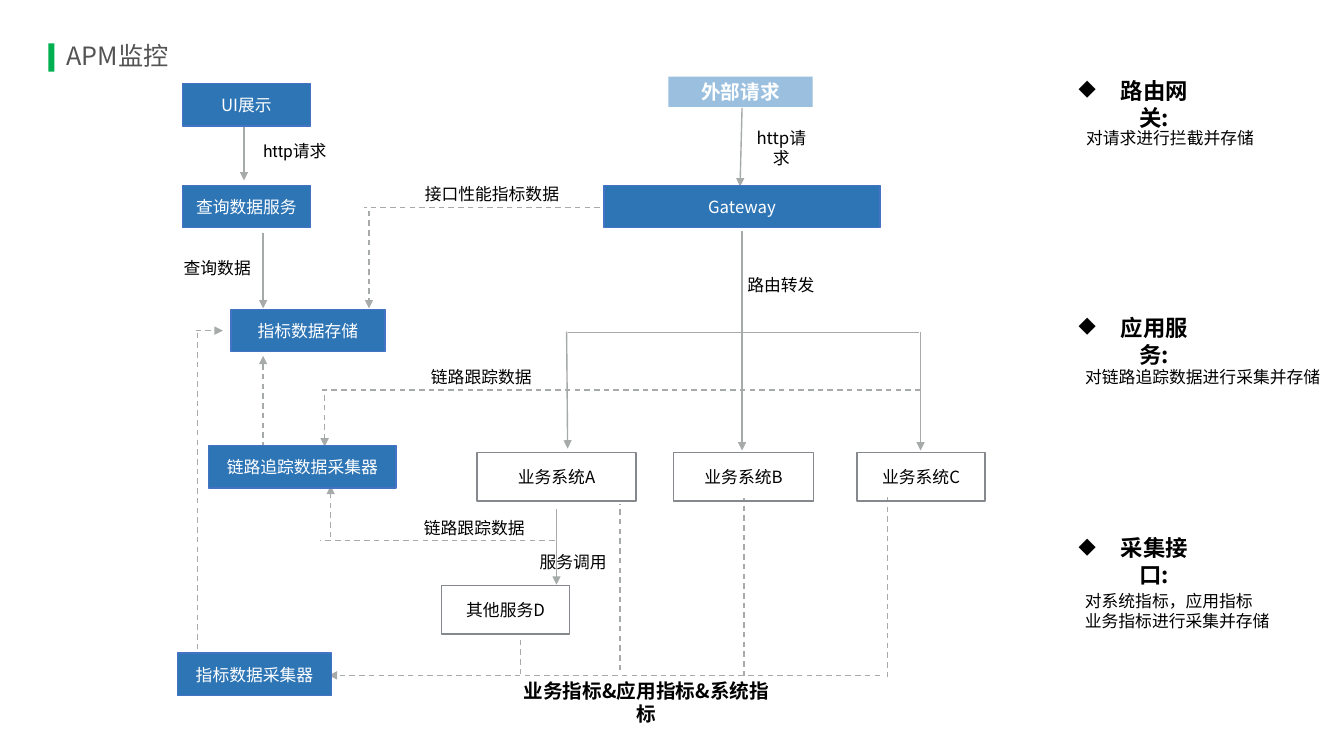
from dataclasses import dataclass
from lxml.etree import SubElement as Sub
from pptx import Presentation
from pptx.dml.color import RGBColor as Rgb
from pptx.enum.dml import MSO_LINE as Dash
from pptx.enum.shapes import MSO_CONNECTOR as Link, MSO_SHAPE as Shape
from pptx.enum.text import MSO_ANCHOR as Anchor, MSO_AUTO_SIZE as Fit, PP_ALIGN as Align
from pptx.oxml.ns import qn
from pptx.util import Inches, Pt


@dataclass(frozen=True)
class Theme:
    font: str = "Noto Sans CJK SC"
    green: str = "00B050"
    title: str = "535353"
    blue: str = "2E75B6"
    edge: str = "4472C4"
    pale: str = "9BC0DF"
    frame: str = "85888D"
    line: str = "A6AAA9"
    white: str = "FFFFFF"
    black: str = "000000"
    big: int = 18
    head: int = 16
    mid: int = 14
    base: int = 12


class Board:
    def __init__(self, slide, theme):
        self.slide = slide
        self.theme = theme

    def style(self, frame, text, size, color, bold=False, align=Align.CENTER,
              wrap=True, pad=0.06, latin=None, mark=None):
        frame.text = text
        frame.word_wrap = wrap
        frame.auto_size = Fit.NONE
        frame.vertical_anchor = Anchor.MIDDLE
        frame.margin_left = frame.margin_right = Inches(pad)
        frame.margin_top = frame.margin_bottom = Inches(pad)
        for para in frame.paragraphs:
            para.alignment = align
            if mark:
                props = para._p.get_or_add_pPr()
                props.set("marL", str(Inches(0.42)))
                props.set("indent", str(-Inches(0.42)))
                Sub(props, qn("a:buChar")).set("char", mark)
            for run in para.runs:
                font = run.font
                font.size = Pt(size)
                font.bold = bold
                font.color.rgb = Rgb.from_string(color)
                font.name = latin or self.theme.font
                Sub(run._r.get_or_add_rPr(), qn("a:ea")).set("typeface", self.theme.font)

    def title(self, text):
        look = self.theme
        self.box("", 0.48, 0.43, 0.06, 0.28, look.green)
        head = self.slide.shapes.title
        head.left, head.top = Inches(0.61), Inches(0.22)
        head.width, head.height = Inches(7.48), Inches(0.66)
        self.style(head.text_frame, text, look.big, look.title,
                   align=Align.LEFT, pad=0.05)

    def box(self, text, left, top, width, height, fill=None, edge=None,
            size=None, bold=False):
        look = self.theme
        shape = self.slide.shapes.add_shape(
            Shape.RECTANGLE, Inches(left), Inches(top), Inches(width), Inches(height))
        shape.shadow.inherit = False
        if fill:
            shape.fill.solid()
            shape.fill.fore_color.rgb = Rgb.from_string(fill)
        else:
            shape.fill.background()
        if edge:
            shape.line.color.rgb = Rgb.from_string(edge)
            shape.line.width = Pt(1)
        else:
            shape.line.fill.background()
        if text:
            self.style(shape.text_frame, text, size or look.base,
                       look.white if fill else look.black, bold)

    def label(self, text, left, top, width, height=0.27, size=None, wrap=False, **form):
        look = self.theme
        area = self.slide.shapes.add_textbox(
            Inches(left), Inches(top), Inches(width), Inches(height))
        self.style(area.text_frame, text, size or look.base, look.black,
                   wrap=wrap, **form)

    def line(self, x1, y1, x2, y2, arrow=False, dashed=False):
        link = self.slide.shapes.add_connector(
            Link.STRAIGHT, Inches(x1), Inches(y1), Inches(x2), Inches(y2))
        link.line.color.rgb = Rgb.from_string(self.theme.line)
        link.line.width = Pt(1)
        if dashed:
            link.line.dash_style = Dash.DASH
        if arrow:
            Sub(link._element.spPr.find(qn("a:ln")), qn("a:tailEnd")).set("type", "triangle")
        Sub(link._element.spPr, qn("a:effectLst"))


def main():
    deck = Presentation()
    deck.slide_width, deck.slide_height = Inches(13.33), Inches(7.5)
    look = Theme()
    board = Board(deck.slides.add_slide(deck.slide_layouts[5]), look)
    board.title("APM监控")

    for spot in [
        (7.36, 2.29, 7.36, 4.47, True),
        (5.63, 3.3, 9.12, 3.3),
        (9.13, 3.29, 9.13, 4.47, True),
        (5.62, 3.29, 5.63, 4.45, True),
        (5.52, 5.05, 5.52, 5.8, True),
        (2.42, 1.26, 2.42, 1.79, True),
        (7.36, 1.07, 7.34, 1.85, True),
        (2.61, 2.31, 2.61, 3.06, True),
    ]:
        board.line(*spot)

    for spot in [
        (5.95, 2.06, 3.61, 2.06),
        (3.66, 2.09, 3.66, 3.06, True),
        (9.13, 3.87, 3.18, 3.87),
        (3.22, 3.92, 3.22, 4.43, True),
        (5.5, 5.36, 3.17, 5.36),
        (3.28, 5.33, 3.28, 4.82, True),
        (8.73, 6.7, 3.26, 6.7, True),
        (5.16, 6.69, 5.16, 6.32),
        (6.15, 6.65, 6.15, 5),
        (7.38, 6.71, 7.38, 4.94),
        (8.8, 6.72, 8.8, 4.93),
        (2.61, 4.44, 2.61, 3.53, True),
        (1.96, 3.3, 1.96, 6.49),
        (1.94, 3.28, 2.21, 3.28, True),
    ]:
        board.line(*spot, dashed=True)

    for text, left, top, width in [
        ("UI展示", 1.81, 0.83, 1.27),
        ("查询数据服务", 1.81, 1.84, 1.27),
        ("Gateway", 5.99, 1.84, 2.74),
        ("指标数据存储", 2.29, 3.07, 1.53),
        ("链路追踪数据采集器", 2.07, 4.42, 1.86),
        ("指标数据采集器", 1.76, 6.48, 1.53),
    ]:
        board.box(text, left, top, width, 0.42, look.blue, look.edge)

    for text, left, top, width in [
        ("业务系统A", 4.73, 4.49, 1.58),
        ("业务系统B", 6.68, 4.49, 1.39),
        ("业务系统C", 8.5, 4.49, 1.27),
        ("其他服务D", 4.38, 5.81, 1.27),
    ]:
        board.box(text, left, top, width, 0.48, edge=look.frame)
    board.box("外部请求", 6.63, 0.76, 1.43, 0.3, look.pale, size=look.mid, bold=True)

    for spot in [
        ("路由转发", 7.35, 2.69, 0.79),
        ("接口性能指标数据", 4.15, 1.79, 1.46),
        ("链路跟踪数据", 4.21, 3.6, 1.13),
        ("链路跟踪数据", 4.14, 5.1, 1.13),
        ("服务调用", 5.29, 5.44, 0.79),
        ("查询数据", 1.76, 2.52, 0.79),
    ]:
        board.label(*spot)
    board.label("http请求", 7.38, 1.31, 0.74, 0.31, wrap=True)
    board.label("http请求", 2.55, 1.34, 0.75, 0.31, wrap=True, latin="Roboto")
    board.label("业务指标&应用指标&系统指标", 5.04, 6.79, 2.74, 0.35,
                look.mid, bold=True, wrap=True)

    for text, top in [("路由网关:", 0.84), ("应用服务:", 3.19), ("采集接口:", 5.38)]:
        board.label(text, 10.54, top, 1.4, 0.38, look.head,
                    bold=True, wrap=True, mark="◆")
    board.label("对请求进行拦截并存储", 10.71, 1.23, 1.79)
    board.label("对链路追踪数据进行采集并存储", 10.7, 3.6, 2.46)
    board.label("对系统指标，应用指标\n业务指标进行采集并存储", 10.7, 5.84, 2.28, 0.44,
                align=Align.LEFT, wrap=True)

    deck.save("out.pptx")


if __name__ == "__main__":
    main()
